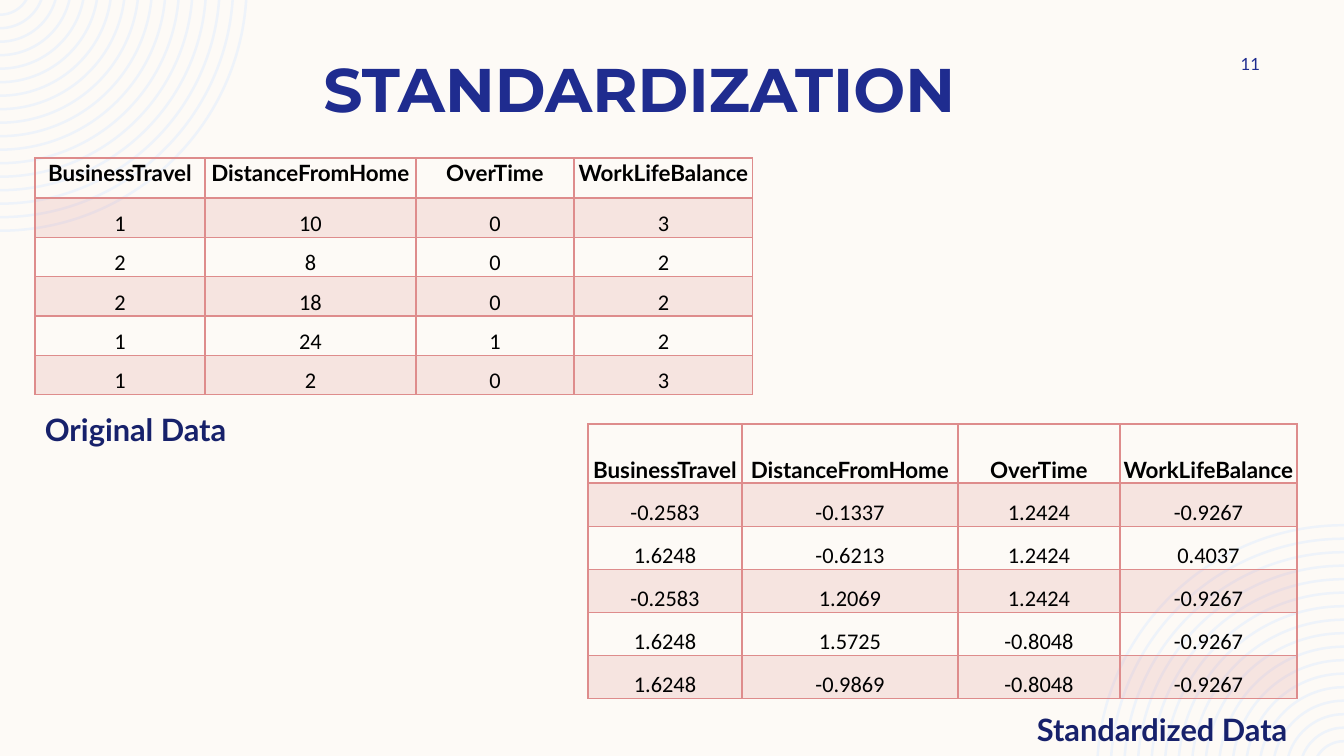
import math
from lxml import etree
from pptx import Presentation
from pptx import util as u
from pptx.dml.color import RGBColor
from pptx.enum import text
from pptx.oxml import ns

SCALE = 914400 / 100.8  # EMU per px
WIDE, HIGH = 1344, 756
CREAM = RGBColor(0xFD, 0xFA, 0xF6)
PALE = RGBColor(0xEE, 0xF3, 0xFA)
BLUE = RGBColor(0x1F, 0x2C, 0x8F)
NAVY = RGBColor(0x17, 0x21, 0x6B)
ROSE = RGBColor(0xDE, 0x8C, 0x8C)
BLACK = RGBColor(0, 0, 0)
ALIGN, ANCHOR = text.PP_ALIGN, text.MSO_ANCHOR

HEADS = ["BusinessTravel", "DistanceFromHome", "OverTime", "WorkLifeBalance"]
RAW = [[1, 10, 0, 3], [2, 8, 0, 2], [2, 18, 0, 2], [1, 24, 1, 2], [1, 2, 0, 3]]
SCALED = [
    [-0.2583, -0.1337, 1.2424, -0.9267],
    [1.6248, -0.6213, 1.2424, 0.4037],
    [-0.2583, 1.2069, 1.2424, -0.9267],
    [1.6248, 1.5725, -0.8048, -0.9267],
    [1.6248, -0.9869, -0.8048, -0.9267],
]


def px(n):
    return u.Emu(round(n * SCALE))


def style(par, font, size, color, bold=False, align=ALIGN.LEFT):
    par.alignment = align
    par.font.name, par.font.size = font, u.Pt(size)
    par.font.color.rgb, par.font.bold = color, bold


def arc(rad, drop, x, y, sign):
    """Four Bezier points of an arc centred `drop` outside the corner."""
    low = math.asin(drop / rad)
    pull = 4 / 3 * math.tan((math.pi / 2 - low) / 4)
    cos, sin = math.cos(low), math.sin(low)
    spots = [(cos, sin), (cos - pull * sin, sin + pull * cos), (pull, 1), (0, 1)]
    return [(px(x + sign * rad * a), px(y + sign * (rad * b - drop)))
            for a, b in spots]


def bend(shape):
    """Turn the two arcs of each seven-line contour into Bezier curves."""
    lines = shape.element.findall(".//" + ns.qn("a:lnTo"))
    for i in range(0, len(lines), 7):
        for trio in (lines[i:i + 3], lines[i + 4:i + 7]):
            curve = etree.Element(ns.qn("a:cubicBezTo"))
            trio[0].addprevious(curve)
            for line in trio:
                curve.append(line[0])
                line.getparent().remove(line)


def rings(slide, x, y, sign):
    """Concentric rings opening from a slide corner."""
    drop, large, small, count, thick = 16, 248, 32, 17, 2.5
    pen = None
    for i in range(count):
        rad = large - (large - small) * i / (count - 1)
        edge = arc(rad, drop, x, y, sign)
        edge += reversed(arc(rad - thick, drop, x, y, sign))
        if pen is None:
            pen = slide.shapes.build_freeform(*edge[0])
        else:
            pen.move_to(*edge[0])
        pen.add_line_segments(edge[1:], close=True)
    shape = pen.convert_to_shape()
    bend(shape)
    shape.shadow.inherit = False
    shape.fill.solid()
    shape.fill.fore_color.rgb = PALE
    shape.line.fill.background()
    slide.shapes.title.element.addprevious(shape.element)


def head(slide, x, y, w, h):
    """Slide title."""
    title = slide.shapes.title
    title.left, title.top, title.width, title.height = map(px, (x, y, w, h))
    frame = title.text_frame
    frame.text = "STANDARDIZATION"
    frame.word_wrap = True
    frame.auto_size = text.MSO_AUTO_SIZE.NONE
    frame.vertical_anchor = ANCHOR.BOTTOM
    par = frame.paragraphs[0]
    style(par, "Montserrat", 44, BLUE, True, ALIGN.CENTER)
    par.line_spacing = u.Pt(48.8)


def label(slide, box, words, size, color, bold=False, align=ALIGN.LEFT):
    """Free text: a caption or the page number."""
    frame = slide.shapes.add_textbox(*map(px, box)).text_frame
    frame.text = words
    frame.word_wrap = True
    style(frame.paragraphs[0], "Lato", size, color, bold, align)
    return frame


def border(cell, row):
    """Rose lines on four sides, heavier under the header."""
    heavy = {"T": row == 1, "B": row == 0}
    props = cell._tc.get_or_add_tcPr()
    for i, side in enumerate("LRTB"):
        line = etree.Element(ns.qn(f"a:ln{side}"))
        line.set("w", str(u.Pt(2 if heavy.get(side) else 1)))
        fill = etree.SubElement(line, ns.qn("a:solidFill"))
        etree.SubElement(fill, ns.qn("a:srgbClr"), val=str(ROSE))
        props.insert(i, line)


def tint(cell, row):
    """Translucent rose on odd rows, clear on the others."""
    if row % 2 == 0:
        cell.fill.background()
        return
    cell.fill.solid()
    cell.fill.fore_color.rgb = ROSE
    color = cell._tc.tcPr.find(".//" + ns.qn("a:srgbClr"))
    etree.SubElement(color, ns.qn("a:alpha"), val="20000")


def grid(slide, x, y, h, cols, top, data, anchor):
    """Data table; `top` is the header height, `anchor` its alignment."""
    rows = [HEADS] + data
    table = slide.shapes.add_table(
        len(rows), len(cols), px(x), px(y), px(sum(cols)), px(h)).table
    table.first_row = table.horz_banding = False
    for col, w in zip(table.columns, cols):
        col.width = px(w)
    for r, vals in enumerate(rows):
        table.rows[r].height = px(top if r == 0 else (h - top) / len(data))
        for c, val in enumerate(vals):
            cell = table.cell(r, c)
            cell.margin_left = cell.margin_right = cell.margin_top = px(1)
            cell.margin_bottom = 0
            cell.vertical_anchor = ANCHOR.BOTTOM if r else anchor
            cell.text = str(val)
            style(cell.text_frame.paragraphs[0], "Calibri" if r else "Lato",
                  16, BLACK, r == 0, ALIGN.CENTER)
            tint(cell, r)
            border(cell, r)


def main():
    deck = Presentation()
    deck.slide_width, deck.slide_height = px(WIDE), px(HIGH)
    slide = deck.slides.add_slide(deck.slide_layouts[5])
    slide.background.fill.solid()
    slide.background.fill.fore_color.rgb = CREAM

    # Corner decoration
    rings(slide, 0, 0, 1)
    rings(slide, WIDE, HIGH, -1)

    # Title and page number
    head(slide, 200, 38, 879, 92)
    page = label(slide, (1151, 50, 109, 27), "11", 12, BLUE, align=ALIGN.RIGHT)
    page.margin_right = 0
    page.vertical_anchor = ANCHOR.MIDDLE

    # Tables and captions
    grid(slide, 588, 424, 275, [154, 216, 162, 177], 59, SCALED, ANCHOR.BOTTOM)
    grid(slide, 35, 158, 237, [170, 211, 158, 179], 40, RAW, ANCHOR.TOP)
    label(slide, (35, 406, 328, 47), "Original Data", 22, NAVY, True)
    label(slide, (1027, 706, 284, 47), "Standardized Data", 22, NAVY, True)
    deck.save("out.pptx")


if __name__ == "__main__":
    main()
